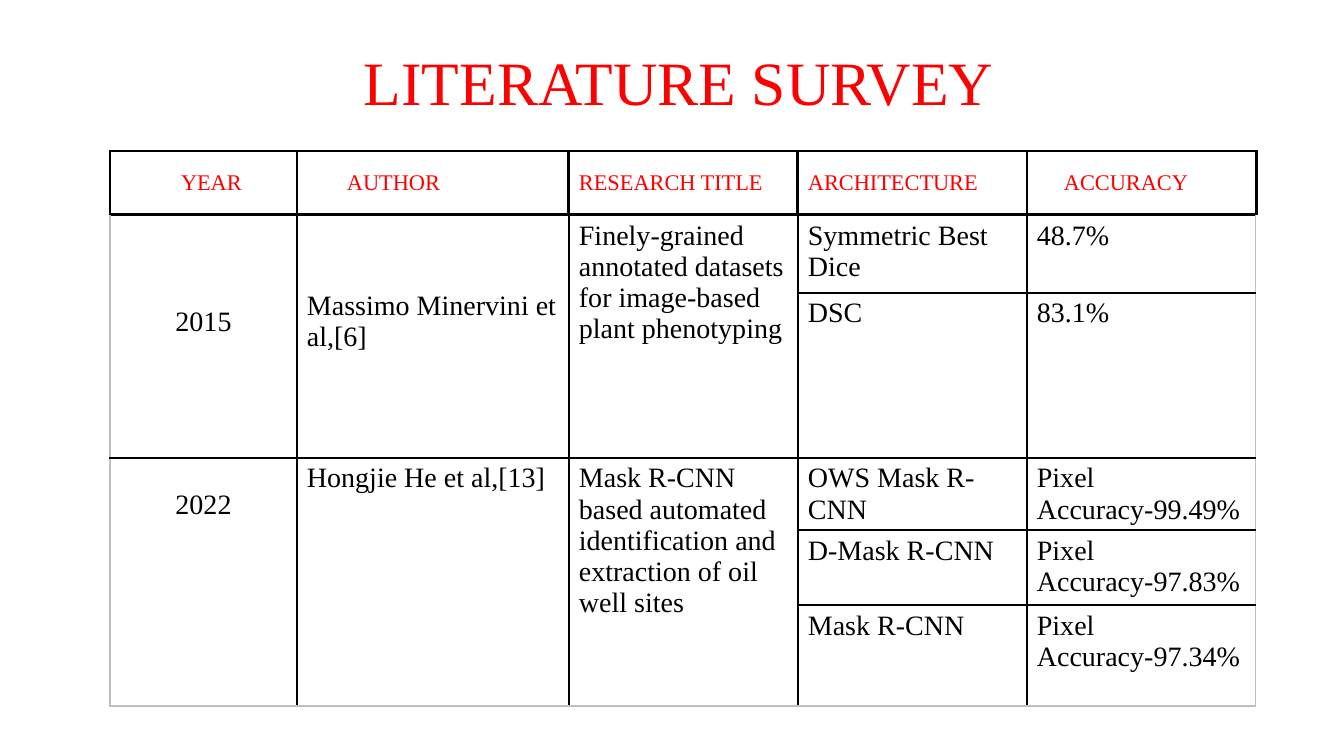
from lxml import etree
from pptx import Presentation, util as u
from pptx.dml.color import RGBColor
from pptx.enum import text
from pptx.oxml.ns import qn

SCALE = 914400 / 100.8
FONT = "Times New Roman"
COLORS = {"red": "FF0000", "black": "000000", "white": "FFFFFF", "edge": "BFBFBF"}
LEFT, HEADER_TOP, HEADER_HEIGHT, BODY_TOP = 110, 151, 63, 215
COLUMNS = [187, 272, 229, 229, 229]
ROWS = [78, 165, 72, 75, 101]
# words, left, width, indent; the first header spans the whole survey
HEADERS = [
    ("YEAR", 110, 1147, 71),
    ("AUTHOR", 297, 271, 50),
    ("ARCHITECTURE", 798, 229, 10),
    ("RESEARCH TITLE", 569, 228, 10),
    ("ACCURACY", 1027, 229, 37),
]
STUDIES = [
    (["2015", "Massimo Minervini et al,[6]",
      "Finely-grained annotated datasets for image-based plant phenotyping"],
     [("Symmetric Best Dice", "48.7%"), ("DSC", "83.1%")]),
    (["2022", "Hongjie He et al,[13]",
      "Mask R-CNN based automated identification and extraction of oil well sites"],
     [("OWS Mask R-CNN", "Pixel Accuracy-99.49%"),
      ("D-Mask R-CNN", "Pixel Accuracy-97.83%"),
      ("Mask R-CNN", "Pixel Accuracy-97.34%")]),
]


def px(n):
    return u.Emu(round(n * SCALE))


def rgb(name):
    return RGBColor.from_string(COLORS[name])


def write(tf, words, size, color):
    p = tf.paragraphs[0]
    p.text = words
    p.font.name = FONT
    p.font.size = u.Pt(size)
    p.font.color.rgb = rgb(color)
    return p


def add_title(s, words):
    tf = s.shapes.add_textbox(px(354), px(39), px(673), px(85)).text_frame
    tf.word_wrap = True
    write(tf, words, 44, "red")


def add_grid(s, left, top, widths, heights):
    table = s.shapes.add_table(len(heights), len(widths), px(left), px(top),
                               px(sum(widths)), px(sum(heights))).table
    table.first_row = table.horz_banding = False
    for column, width in zip(table.columns, widths):
        column.width = px(width)
    for row, height in zip(table.rows, heights):
        row.height = px(height)
    return table


def style_cell(cell, grey_sides=""):
    """Black borders, except for the sides (of L, R, T, B) named as grey."""
    tcPr = cell._tc.get_or_add_tcPr()
    for side in "LRTB":
        ln = etree.SubElement(tcPr, qn(f"a:ln{side}"), w=str(u.Pt(1)))
        fill = etree.SubElement(ln, qn("a:solidFill"))
        color = "edge" if side in grey_sides else "black"
        etree.SubElement(fill, qn("a:srgbClr"), val=COLORS[color])
    cell.fill.background()
    cell.margin_left = cell.margin_right = px(10)
    cell.margin_top = cell.margin_bottom = px(5)


def add_header(s, words, left, width, indent):
    cell = add_grid(s, left, HEADER_TOP, [width], [HEADER_HEIGHT]).cell(0, 0)
    style_cell(cell)
    write(cell.text_frame, words, 16, "red")
    cell.vertical_anchor = text.MSO_ANCHOR.MIDDLE
    cell.margin_left = px(indent)


def fill_study(table, top, facts, results):
    for col, words in enumerate(facts):
        cell = table.cell(top, col)
        cell.merge(table.cell(top + len(results) - 1, col))
        p = write(cell.text_frame, words, 20, "black")
        if col == 0:
            p.alignment = text.PP_ALIGN.CENTER
    for row, result in enumerate(results, top):
        for col, words in enumerate(result, len(facts)):
            write(table.cell(row, col).text_frame, words, 20, "black")


def add_survey(s):
    table = add_grid(s, LEFT, BODY_TOP, COLUMNS, ROWS)
    tops = []
    top = 0
    for facts, results in STUDIES:
        fill_study(table, top, facts, results)
        tops.append(top)
        top += len(results)

    for row in range(len(ROWS)):
        for col in range(len(COLUMNS)):
            cell = table.cell(row, col)
            outer = {"L": col == 0, "R": col == len(COLUMNS) - 1,
                     "B": row + cell.span_height == len(ROWS)}
            style_cell(cell, [side for side in outer if outer[side]])

    for col in (0, 1):
        cell = table.cell(tops[0], col)
        cell.vertical_anchor = text.MSO_ANCHOR.MIDDLE
        cell.margin_bottom = px(35)
    table.cell(tops[1], 0).margin_top = px(31)


def main():
    prs = Presentation()
    prs.slide_width, prs.slide_height = px(1344), px(756)
    s = prs.slides.add_slide(prs.slide_layouts[6])
    add_survey(s)
    for header in HEADERS:
        add_header(s, *header)
    add_title(s, "LITERATURE SURVEY")
    prs.save("out.pptx")


if __name__ == "__main__":
    main()
